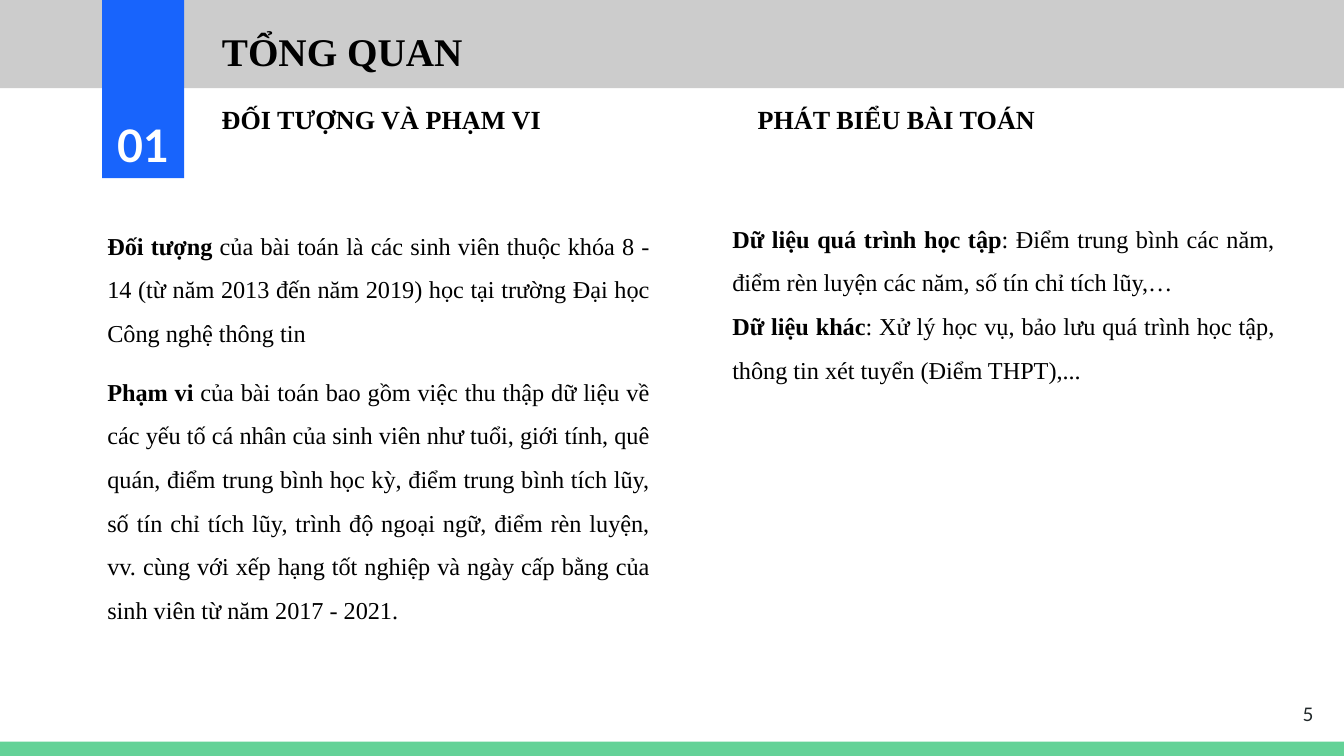
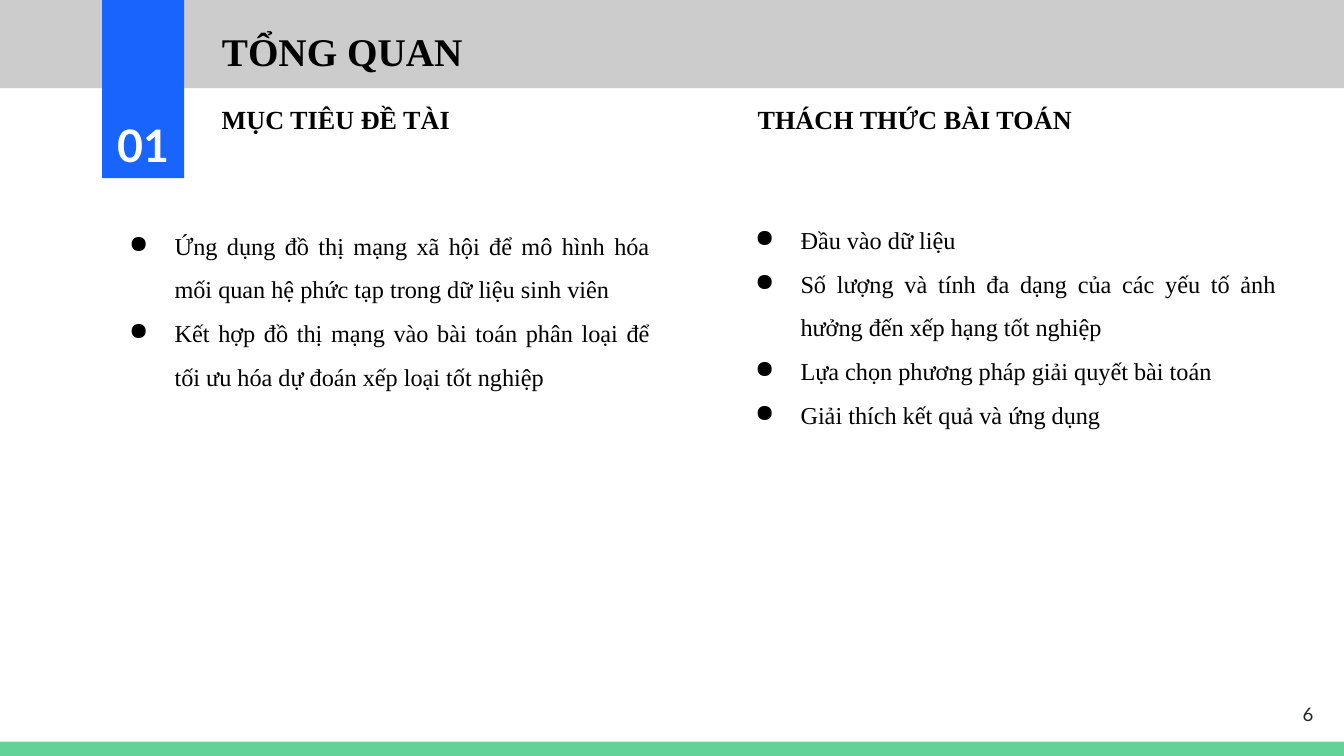
"""Builds the two overview slides of chapter 01."""
from lxml.etree import SubElement
from pptx import Presentation
from pptx.dml.color import RGBColor
from pptx.enum.shapes import MSO_SHAPE
from pptx.enum.text import MSO_ANCHOR as Anchor, MSO_AUTO_SIZE as Fit, PP_ALIGN as Align
from pptx.oxml.ns import qn
from pptx.util import Cm, Pt

SERIF, SANS = "Times New Roman", "Lato"
BLACK, WHITE, INK = "000000", "FFFFFF", "202729"
GREY, BLUE, GREEN = "CCCCCC", "1864FC", "63D297"
WIDE, HIGH = 25.4, 14.29

PAGES = [
    (5, [
        ("ĐỐI TƯỢNG VÀ PHẠM VI", 1.78, 3.84, [
            ("Đối tượng", " của bài toán là các sinh viên thuộc khóa 8 - 14 (từ năm 2013 "
             "đến năm 2019) học tại trường Đại học Công nghệ thông tin", 0),
            ("Phạm vi", " của bài toán bao gồm việc thu thập dữ liệu về các yếu tố cá nhân "
             "của sinh viên như tuổi, giới tính, quê quán, điểm trung bình học kỳ, điểm "
             "trung bình tích lũy, số tín chỉ tích lũy, trình độ ngoại ngữ, điểm rèn luyện, "
             "vv. cùng với xếp hạng tốt nghiệp và ngày cấp bằng của sinh viên từ năm "
             "2017 - 2021.", 8),
        ]),
        ("PHÁT BIỂU BÀI TOÁN", 13.59, 3.71, [
            ("Dữ liệu quá trình học tập", ": Điểm trung bình các năm, điểm rèn luyện các "
             "năm, số tín chỉ tích lũy,…", 0),
            ("Dữ liệu khác", ": Xử lý học vụ, bảo lưu quá trình học tập, thông tin xét "
             "tuyển (Điểm THPT),...", 0),
        ]),
    ]),
    (6, [
        ("MỤC TIÊU ĐỀ TÀI", 1.78, 3.84, [
            ("", "Ứng dụng đồ thị mạng xã hội để mô hình hóa mối quan hệ phức tạp trong "
             "dữ liệu sinh viên", 0),
            ("", "Kết hợp đồ thị mạng vào bài toán phân loại để tối ưu hóa dự đoán xếp "
             "loại tốt nghiệp", 0),
        ]),
        ("THÁCH THỨC BÀI TOÁN", 13.61, 3.73, [
            ("", "Đầu vào dữ liệu", 0),
            ("", "Số lượng và tính đa dạng của các yếu tố ảnh hưởng đến xếp hạng tốt "
             "nghiệp", 0),
            ("", "Lựa chọn phương pháp giải quyết bài toán", 0),
            ("", "Giải thích kết quả và ứng dụng", 0),
        ]),
    ]),
]


def style(para, size, color, face=SERIF, bold=None, align=Align.LEFT):
    """Set the font and alignment of a paragraph."""
    font = para.font
    font.name, font.size, font.bold = face, Pt(size), bold
    font.color.rgb = RGBColor.from_string(color)
    para.alignment = align


def block(slide, left, top, width, height, color):
    """Add a plain filled rectangle."""
    shape = slide.shapes.add_shape(MSO_SHAPE.RECTANGLE, Cm(left), Cm(top), Cm(width), Cm(height))
    shape.shadow.inherit = False
    shape.fill.solid()
    shape.fill.fore_color.rgb = RGBColor.from_string(color)
    shape.line.fill.background()
    return shape


deck = Presentation()
deck.slide_width, deck.slide_height = Cm(WIDE), Cm(HIGH)

for number, columns in PAGES:
    slide = deck.slides.add_slide(deck.slide_layouts[5])
    block(slide, 0, 14.02, WIDE, 0.27, GREEN)
    block(slide, 0, -0.08, WIDE, 1.75, GREY)

    title = slide.shapes.title
    slide.shapes.element.append(title.element)
    title.left, title.top, title.width, title.height = Cm(3.94), Cm(0.38), Cm(15.37), Cm(1.14)
    frame = title.text_frame
    frame.text = "TỔNG QUAN"
    frame.auto_size, frame.vertical_anchor = Fit.NONE, Anchor.TOP
    style(frame.paragraphs[0], 21, BLACK, bold=True)

    tag = block(slide, 1.93, -0.08, 1.55, 3.45, BLUE).text_frame
    tag.text = "01"
    tag.vertical_anchor = Anchor.BOTTOM
    style(tag.paragraphs[0], 24, WHITE, SANS, True, Align.CENTER)

    for column, (heading, left, top, items) in enumerate(columns):
        head = slide.shapes.add_textbox(
            Cm(3.94 + column * 10.13), Cm(1.83), Cm(8.59), Cm(0.86)).text_frame
        head.word_wrap = True
        head.text = heading
        style(head.paragraphs[0], 14, BLACK, bold=True)

        body = slide.shapes.add_textbox(Cm(left), Cm(top), Cm(10.74), Cm(8.81)).text_frame
        body.word_wrap = True
        body.margin_top = body.margin_bottom = Cm(0.25)
        for index, (lead, text, gap) in enumerate(items):
            para = body.add_paragraph() if index else body.paragraphs[0]
            if lead:
                run = para.add_run()
                run.text, run.font.bold = lead, True
            else:
                props = para._p.get_or_add_pPr()
                props.set("marL", str(Cm(1.27)))
                props.set("indent", str(Cm(-0.86)))
                tint = SubElement(props, qn("a:buClr"))
                SubElement(tint, qn("a:srgbClr"), val=BLACK)
                SubElement(props, qn("a:buChar"), char="●")
            para.add_run().text = text
            para.line_spacing, para.space_before = 1.5, Pt(gap)
            style(para, 13, BLACK, align=Align.JUSTIFY)

    page = slide.shapes.add_textbox(Cm(23.55), Cm(12.95), Cm(1.52), Cm(1.09)).text_frame
    page.word_wrap = True
    page.vertical_anchor = Anchor.MIDDLE
    page.text = str(number)
    style(page.paragraphs[0], 10, INK, SANS, align=Align.RIGHT)

deck.save("out.pptx")
